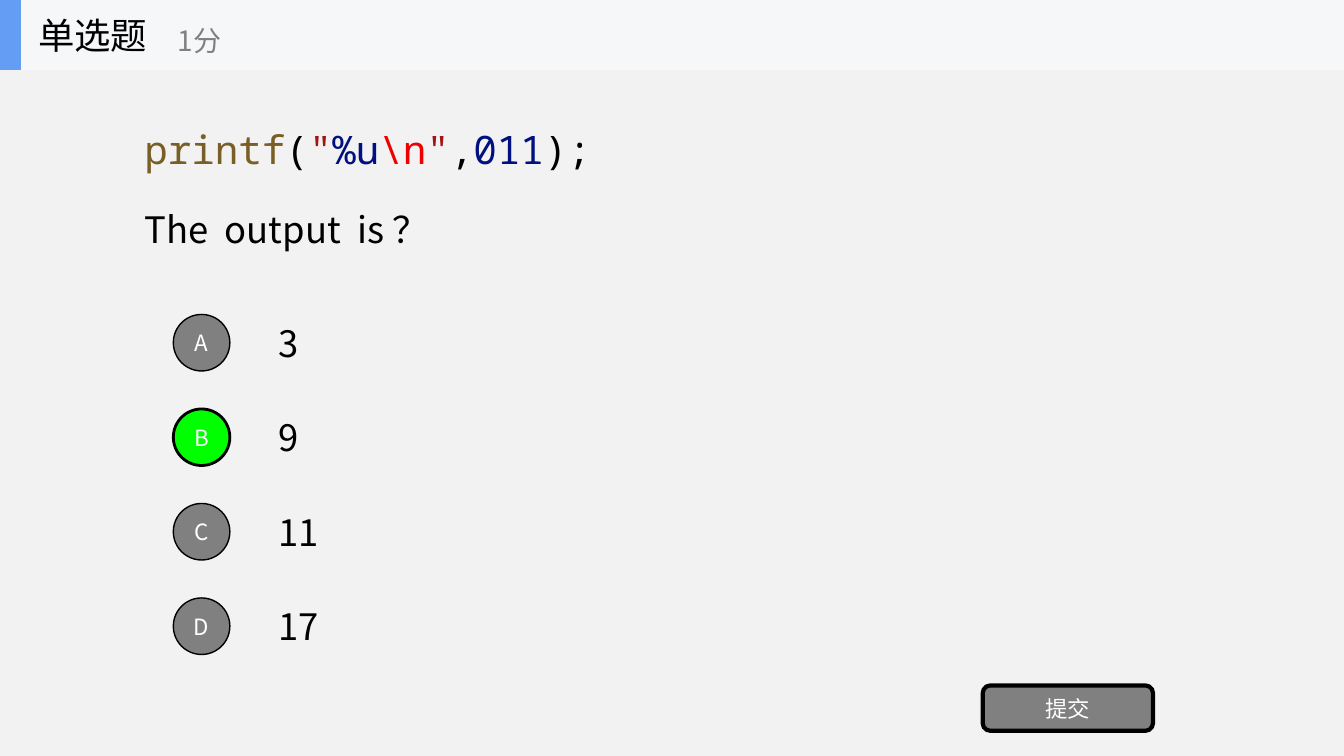
from dataclasses import dataclass

from lxml.etree import SubElement
from pptx import Presentation
from pptx.dml.color import RGBColor
from pptx.enum.shapes import MSO_SHAPE as Preset
from pptx.enum.text import MSO_ANCHOR as Anchor, MSO_AUTO_SIZE as AutoSize, PP_ALIGN as Align
from pptx.oxml.ns import qn
from pptx.util import Pt

SANS, MONO = "Noto Sans CJK SC", "Noto Sans Mono"
BLACK, WHITE, GREY, GREEN = "000000", "FFFFFF", "808080", "00FF00"


@dataclass
class Frame:
    left: float
    top: float
    width: float
    height: float


@dataclass
class Span:
    text: str
    size: float
    color: str = BLACK
    font: str = SANS


@dataclass
class Option:
    letter: str
    answer: str
    fill: str = GREY
    border: float = 1


HEADER_HEIGHT = 50
OPTION_TOP, OPTION_PITCH, OPTION_HEIGHT, CIRCLE = 219.6, 67.5, 50.4, 40.4
OPTIONS = [
    Option("A", "3"),
    Option("B", "9", GREEN, 2),
    Option("C", "11"),
    Option("D", "17"),
]
CODE = [
    Span(text, 28, color, MONO)
    for text, color in [
        ("printf", "795E26"), ("(", BLACK), ('"', "A31515"), ("%u", "001080"),
        ("\\n", "EE0000"), ('"', "A31515"), (",", BLACK), ("011", "001080"), (");", BLACK),
    ]
]
QUESTION = [Span("The  output  is ？", 26)]


def paint(target, color: str) -> None:
    target.solid()
    target.fore_color.rgb = RGBColor.from_string(color)


def place(box, frame: Frame) -> None:
    box.left, box.top = Pt(frame.left), Pt(frame.top)
    box.width, box.height = Pt(frame.width), Pt(frame.height)


def write(box, lines: list[list[Span]], align=Align.LEFT, gap: float = 0) -> None:
    text = box.text_frame
    text.word_wrap = True
    text.auto_size = AutoSize.NONE
    text.vertical_anchor = Anchor.MIDDLE
    for index, line in enumerate(lines):
        para = text.add_paragraph() if index else text.paragraphs[0]
        para.alignment = align
        para.space_before = Pt(gap if index else 0)
        for item in line:
            span = para.add_run()
            span.text = item.text
            span.font.size = Pt(item.size)
            span.font.name = item.font
            paint(span.font.fill, item.color)
            SubElement(span._r.get_or_add_rPr(), qn("a:ea"), typeface=item.font)


def add_text(page, frame: Frame, span: Span) -> None:
    box = page.shapes.add_textbox(0, 0, 0, 0)
    place(box, frame)
    write(box, [[span]])


def add_block(page, preset, frame: Frame, fill: str, border: float = 0, label: str = "") -> None:
    box = page.shapes.add_shape(preset, 0, 0, 0, 0)
    place(box, frame)
    box.shadow.inherit = False
    paint(box.fill, fill)
    if border:
        paint(box.line.fill, BLACK)
        box.line.width = Pt(border)
    else:
        box.line.fill.background()
    if label:
        text = box.text_frame
        text.margin_left = text.margin_right = text.margin_top = text.margin_bottom = 0
        write(box, [[Span(label, 16, WHITE)]], Align.CENTER)


def add_header(page) -> None:
    add_block(page, Preset.RECTANGLE, Frame(0, 0, 960, HEADER_HEIGHT), "F6F7F8")
    add_block(page, Preset.RECTANGLE, Frame(0, 0, 15, HEADER_HEIGHT), "639EF4")
    title = page.shapes.title
    title.element.getparent().append(title.element)
    place(title, Frame(20, 0, 150, HEADER_HEIGHT))
    write(title, [[Span("单选题", 26)]])
    add_text(page, Frame(120, 9, 180, 40), Span("1分", 20, GREY))


def add_question(page) -> None:
    body = page.placeholders[1]
    place(body, Frame(96, 50, 768, 168.5))
    write(body, [CODE, QUESTION], gap=24.6)
    for para in body.text_frame.paragraphs:
        layout = para._p.get_or_add_pPr()
        layout.set("marL", "0")
        layout.set("indent", "0")
        SubElement(layout, qn("a:buNone"))


def add_option(page, index: int, option: Option) -> None:
    top = OPTION_TOP + index * OPTION_PITCH
    add_text(page, Frame(192, top, 672, OPTION_HEIGHT), Span(option.answer, 26))
    circle = Frame(123.8, top + (OPTION_HEIGHT - CIRCLE) / 2, CIRCLE, CIRCLE)
    add_block(page, Preset.OVAL, circle, option.fill, option.border, option.letter)


def main() -> None:
    deck = Presentation()
    deck.slide_width, deck.slide_height = Pt(960), Pt(540)
    page = deck.slides.add_slide(deck.slide_layouts[1])
    paint(page.background.fill, "F2F2F2")
    add_question(page)
    for index, option in enumerate(OPTIONS):
        add_option(page, index, option)
    add_block(page, Preset.ROUNDED_RECTANGLE, Frame(702, 489.6, 121.6, 32.4), GREY, 3, "提交")
    add_header(page)
    deck.save("out.pptx")


if __name__ == "__main__":
    main()
